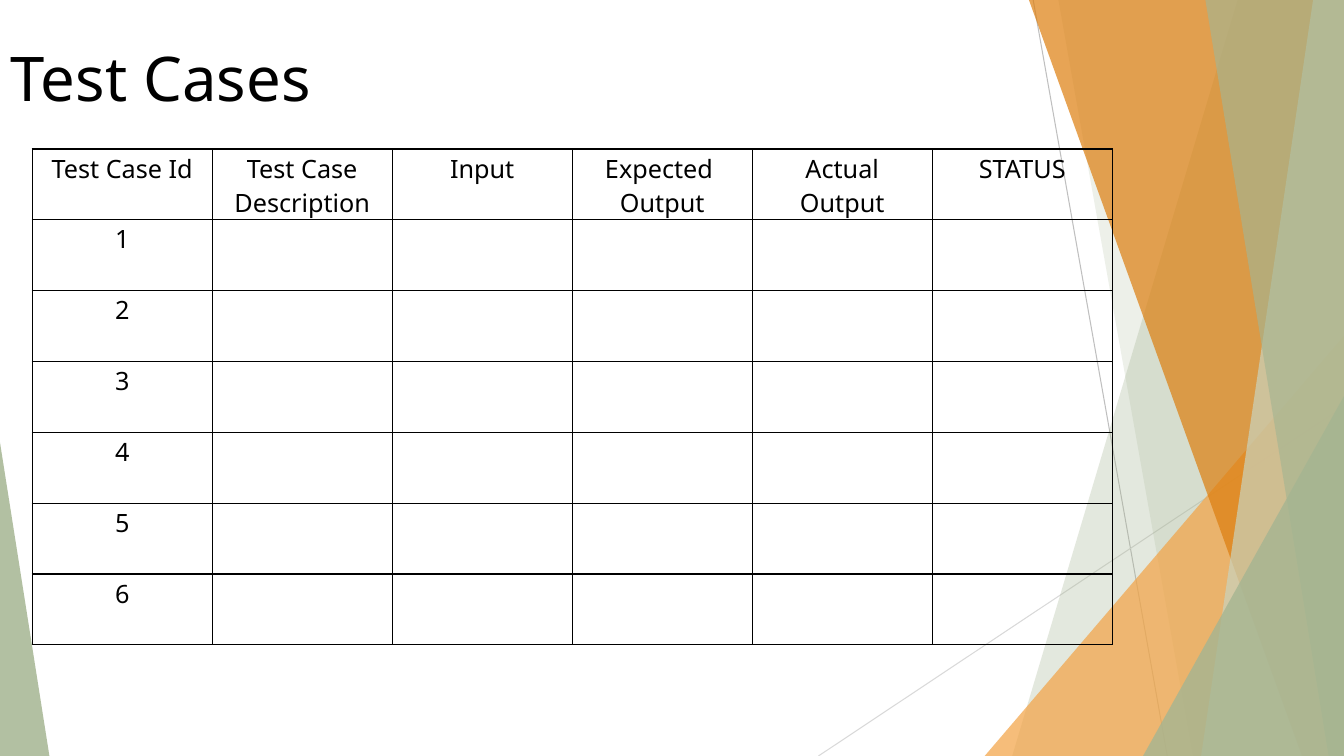
from lxml import etree
from pptx import Presentation
from pptx.dml.color import RGBColor
from pptx.enum import shapes, text
from pptx.oxml import parse_xml
from pptx.oxml.ns import nsdecls, qn
from pptx.util import Pt

COLORS = {
    "black": "000000", "sage": "A5B592", "pale sage": "C9D3BE",
    "orange": "F3A447", "dark orange": "DD7E0E",
    "gray": "BFBFBF", "light gray": "D9D9D9",
}
FONT = "Noto Sans"
WIDTH, HEIGHT = 960, 540

presentation = Presentation()
presentation.slide_width, presentation.slide_height = Pt(WIDTH), Pt(HEIGHT)
slide = presentation.slides.add_slide(presentation.slide_layouts[5])


def paint(shape, color, opacity):
    """Fill the shape with a see-through colour, opacity in percent."""
    shape.shadow.inherit = False
    shape.line.fill.background()
    shape.fill.solid()
    shape.fill.fore_color.rgb = RGBColor.from_string(COLORS[color])
    color_element = shape.fill._xPr.find(".//" + qn("a:srgbClr"))
    etree.SubElement(color_element, qn("a:alpha"), val=str(opacity * 1000))


def add_triangle(left, top, width, corner, color, opacity):
    """Add a triangle standing on the slide's bottom edge, with its tip at corner."""
    triangle = slide.shapes.add_shape(
        shapes.MSO_SHAPE.ISOSCELES_TRIANGLE,
        Pt(left), Pt(top), Pt(width), Pt(HEIGHT - top))
    triangle.adjustments[0] = corner
    paint(triangle, color, opacity)


# Thin background lines
for start_x, start_y, end_x, color in [
    (738, 0, 833.8, "gray"),
    (WIDTH, 290.2, 584.6, "light gray"),
]:
    line = slide.shapes.add_connector(
        shapes.MSO_CONNECTOR.STRAIGHT, Pt(start_x), Pt(start_y), Pt(end_x), Pt(HEIGHT))
    line.line.color.rgb = RGBColor.from_string(COLORS[color])
    line.line.width = Pt(0.75)
    etree.SubElement(line._element.spPr, qn("a:effectLst"))

# Bands run from the top to the bottom and reach the right edge
orange_triangle = (703.4, 239.8, 256.6, 1, "orange", 72)
for top_x, bottom_x, color, opacity in [
    (884.2, 722.9, "sage", 30),
    (756, 851.8, "sage", 20),
    (735.1, 929.5, "dark orange", 70),
    (938.2, 858.2, "pale sage", 70),
    (861.1, 949, "sage", 65),
]:
    if color == "dark orange":
        add_triangle(*orange_triangle)
    builder = slide.shapes.build_freeform(top_x, 0, scale=Pt(1))
    builder.add_line_segments([(WIDTH, 0), (WIDTH, HEIGHT), (bottom_x, HEIGHT)])
    paint(builder.convert_to_shape(), color, opacity)

add_triangle(816.5, 283, 143.5, 1, "sage", 80)
add_triangle(0, 316.1, 35.3, 0, "sage", 85)

# Title
title = slide.shapes.title
title.left, title.top, title.width, title.height = Pt(-19.4), Pt(24.5), Pt(280), Pt(60.5)
title.text_frame.text = "Test Cases "
title.text_frame.vertical_anchor = text.MSO_ANCHOR.MIDDLE
paragraph = title.text_frame.paragraphs[0]
paragraph.alignment = text.PP_ALIGN.CENTER
paragraph.font.name, paragraph.font.size = FONT, Pt(44)
paragraph.font.color.rgb = RGBColor.from_string(COLORS["black"])

# Test case table
headers = ["Test Case Id", "Test Case\nDescription", "Input",
           "Expected \nOutput", "Actual Output", "STATUS"]
rows = [headers] + [[str(number)] + [""] * 5 for number in range(1, 7)]
column_width, row_height = 128.6, 50.6
table = slide.shapes.add_table(
    len(rows), len(headers), Pt(23), Pt(106.4),
    Pt(column_width * len(headers)), Pt(row_height * len(rows))).table
table.first_row = table.horz_banding = False
for column in table.columns:
    column.width = Pt(column_width)
for row, values in zip(table.rows, rows):
    row.height = Pt(row_height)
    for cell, value in zip(row.cells, values):
        cell.text = value
        cell.margin_top, cell.margin_bottom = Pt(1.6), 0
        cell.fill.background()
        for paragraph in cell.text_frame.paragraphs:
            paragraph.alignment = text.PP_ALIGN.CENTER
            paragraph.font.name, paragraph.font.size = FONT, Pt(18)
            paragraph.font.color.rgb = RGBColor.from_string(COLORS["black"])
        for index, side in enumerate(["lnL", "lnR", "lnT", "lnB"]):
            border = parse_xml(
                f'<a:{side} {nsdecls("a")} w="{Pt(1)}"><a:solidFill>'
                f'<a:srgbClr val="{COLORS["black"]}"/></a:solidFill></a:{side}>')
            cell._tc.tcPr.insert(index, border)

presentation.save("out.pptx")
